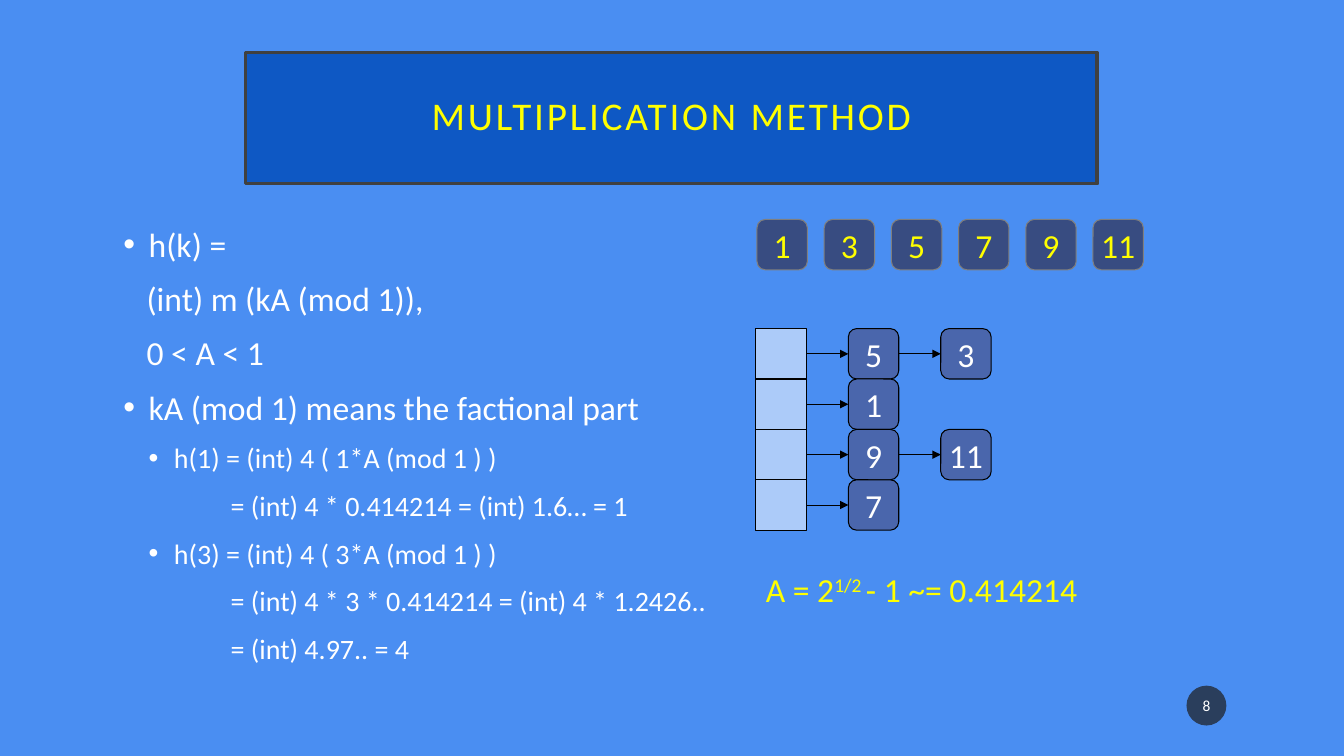
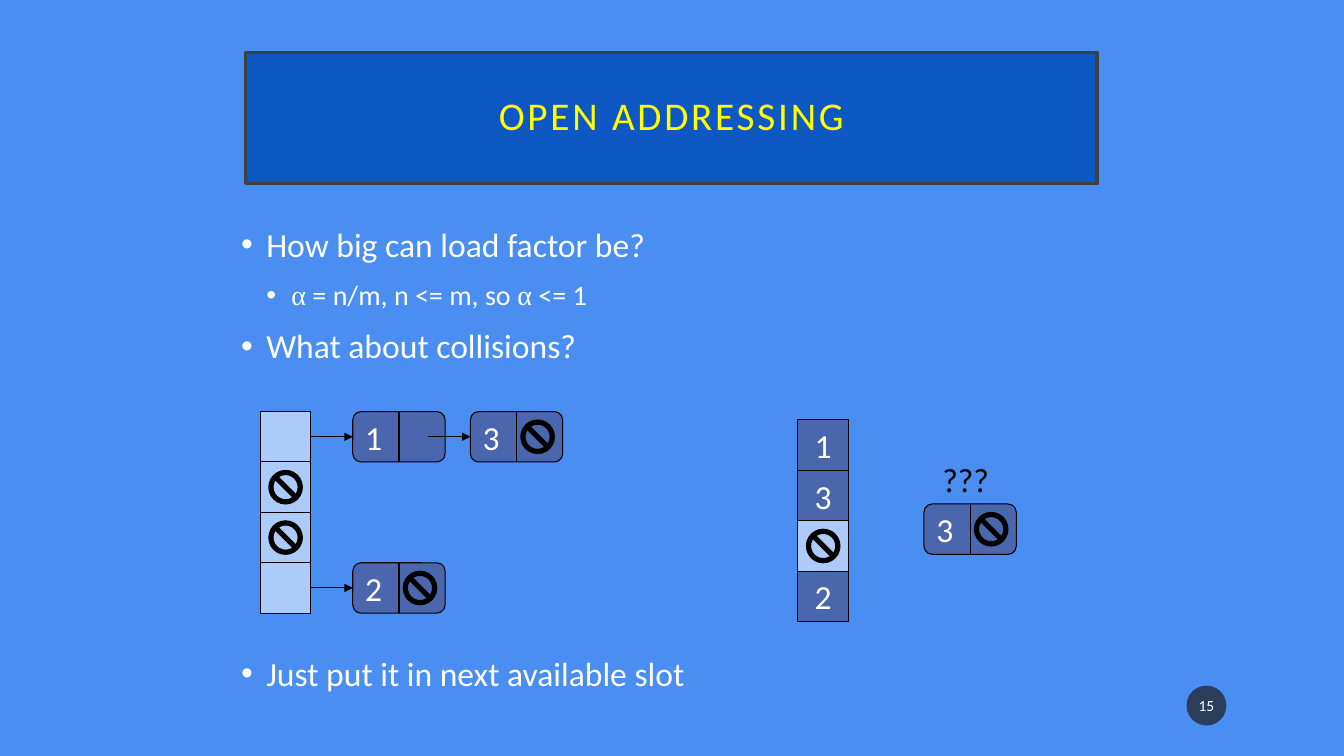
"""Builds two lecture slides on hashing: the multiplication method and open addressing."""
from dataclasses import dataclass
from itertools import groupby

from lxml import etree
from pptx import Presentation
from pptx import util as u
from pptx.dml.color import RGBColor
from pptx.enum import shapes, text
from pptx.oxml.ns import qn

PX = 9525
CELL = 48
GAP = 40
NODE = 88
SYMBOL = 32
INSET = (CELL - SYMBOL) // 2


@dataclass(frozen=True)
class LineStyle:
    level: int
    size: int
    margin: int
    indent: int


@dataclass(frozen=True)
class Theme:
    font: str = "Calibri"
    greek_font: str = "Times New Roman"
    background: str = "4A8EF2"
    title_fill: str = "0E58C4"
    title_line: str = "404040"
    accent: str = "FFFF00"
    white: str = "FFFFFF"
    black: str = "000000"
    slot: str = "ACCBF9"
    entry: str = "4A66AC"
    key: str = "384C81"
    key_line: str = "7F7F7F"
    badge: str = "1D1D1D"
    title_size: int = 28
    text_size: int = 24
    badge_size: int = 11
    hairline: float = 0.75
    item: LineStyle = LineStyle(0, 24, 24, -24)
    item_more: LineStyle = LineStyle(0, 24, 22, 0)
    detail: LineStyle = LineStyle(1, 20, 48, -24)
    detail_more: LineStyle = LineStyle(1, 20, 102, 0)


THEME = Theme()
RECT = shapes.MSO_SHAPE.RECTANGLE
ROUNDED = shapes.MSO_SHAPE.ROUNDED_RECTANGLE


def px(*lengths):
    return [u.Emu(length * PX) for length in lengths]


def rgb(color):
    return RGBColor.from_string(color)


def sub(parent, tag, **attributes):
    return etree.SubElement(parent, qn(tag), attributes)


class Deck:
    def __init__(self, theme):
        self.theme = theme
        self.prs = Presentation()
        self.prs.slide_width, self.prs.slide_height = px(1280, 720)
        self.paint(self.prs.slide_master.background, theme.background)
        self.slide = None

    def paint(self, target, color):
        target.fill.solid()
        target.fill.fore_color.rgb = rgb(color)

    def outline(self, target, color, width):
        target.line.color.rgb = rgb(color)
        target.line.width = u.Pt(width)

    def add_runs(self, paragraph, pieces, size, color):
        for piece in pieces:
            run = paragraph.add_run()
            run.text = piece
            run.font.name = self.theme.greek_font if piece == "α" else self.theme.font
            run.font.size = u.Pt(size)
            run.font.color.rgb = rgb(color)
        return paragraph.runs

    def place(self, placeholder, box):
        placeholder.left, placeholder.top, placeholder.width, placeholder.height = px(*box)
        frame = placeholder.text_frame
        frame.auto_size = text.MSO_AUTO_SIZE.NONE
        frame.word_wrap = True
        return frame

    def new_slide(self, title, number):
        self.slide = self.prs.slides.add_slide(self.prs.slide_layouts[1])
        self.title(title)
        self.badge(number)

    def title(self, wording):
        banner = self.slide.shapes.title
        frame = self.place(banner, (234, 50, 811, 125))
        self.paint(banner, self.theme.title_fill)
        self.outline(banner, self.theme.title_line, 2.5)
        frame.vertical_anchor = text.MSO_ANCHOR.MIDDLE
        frame.margin_left, frame.margin_top, frame.margin_right, frame.margin_bottom = px(19, 19, 19, 19)
        heading = frame.paragraphs[0]
        heading.alignment = text.PP_ALIGN.CENTER
        heading.line_spacing = 0.9
        for run in self.add_runs(heading, [wording], self.theme.title_size, self.theme.accent):
            run._r.get_or_add_rPr().set("spc", "200")

    def body(self, box, lines):
        frame = self.place(self.slide.placeholders[1], box)
        frame.vertical_anchor = text.MSO_ANCHOR.TOP
        for index, (style, wording, before) in enumerate(lines):
            paragraph = frame.paragraphs[0] if index == 0 else frame.add_paragraph()
            paragraph.level = style.level
            paragraph.alignment = text.PP_ALIGN.LEFT
            paragraph.space_before = u.Pt(before if index else 0)
            self.bullet(paragraph, style)
            pieces = ["".join(run) for _, run in groupby(wording, lambda letter: letter == "α")]
            self.add_runs(paragraph, pieces, style.size, self.theme.white)

    def bullet(self, paragraph, style):
        properties = paragraph._p.get_or_add_pPr()
        properties.set("marL", str(style.margin * PX))
        properties.set("indent", str(style.indent * PX))
        if style.indent:
            sub(sub(properties, "a:buClr"), "a:srgbClr", val=self.theme.white)
            sub(properties, "a:buFont", typeface="Arial")
            sub(properties, "a:buChar", char="•")
        else:
            sub(properties, "a:buNone")

    def shape(self, kind, box, fill, line=None):
        drawn = self.slide.shapes.add_shape(kind, *px(*box))
        drawn.shadow.inherit = False
        self.paint(drawn, fill)
        if line:
            self.outline(drawn, line, self.theme.hairline)
        else:
            drawn.line.fill.background()
        return drawn

    def badge(self, number):
        disc = self.shape(shapes.MSO_SHAPE.OVAL, (1130, 653, 38, 38), self.theme.badge)
        shade = disc._element.spPr.find(qn("a:solidFill")).find(qn("a:srgbClr"))
        sub(shade, "a:alpha", val="70000")
        frame = disc.text_frame
        frame.margin_left = frame.margin_right = px(2)[0]
        self.label(disc, number, self.theme.badge_size, self.theme.white)

    def label(self, holder, wording, size, color, align=text.PP_ALIGN.CENTER):
        frame = holder.text_frame
        frame.vertical_anchor = text.MSO_ANCHOR.MIDDLE
        frame.word_wrap = False
        frame.paragraphs[0].alignment = align
        self.add_runs(frame.paragraphs[0], [wording], size, color)

    def box(self, kind, x, y, wording, fill, line=THEME.black, color=THEME.white):
        square = self.shape(kind, (x, y, CELL, CELL), fill, line)
        if wording:
            self.label(square, wording, self.theme.text_size, color)
        return square

    def null(self, x, y):
        sign = self.shape(shapes.MSO_SHAPE.NO_SYMBOL, (x, y, SYMBOL, SYMBOL), self.theme.black, self.theme.black)
        sign.adjustments[0] = 0.125

    def column(self, x, y, entries):
        slots = []
        for row, entry in enumerate(entries):
            top = y + row * CELL
            slots.append(self.box(RECT, x, top, entry, self.theme.entry if entry else self.theme.slot))
            if entry is None:
                self.null(x + INSET, top + INSET)
        return slots

    def node(self, x, y, wording, last=True):
        pair = self.shape(ROUNDED, (x, y, NODE, CELL), self.theme.entry, self.theme.black)
        self.label(pair, wording, self.theme.text_size, self.theme.white, text.PP_ALIGN.LEFT)
        self.link(pair, pair, sites=(0, 2), arrow=False)
        if last:
            self.null(x + NODE // 2 + 4, y + INSET)
        return pair

    def link(self, begin, end, sites=(3, 1), arrow=True):
        start = begin if isinstance(begin, tuple) else (0, 0)
        line = self.slide.shapes.add_connector(shapes.MSO_CONNECTOR.STRAIGHT, *px(*start, *start))
        if not isinstance(begin, tuple):
            line.begin_connect(begin, sites[0])
        line.end_connect(end, sites[1])
        self.outline(line, self.theme.black, self.theme.hairline)
        properties = line._element.spPr
        if arrow:
            sub(properties.find(qn("a:ln")), "a:tailEnd", type="triangle")
        sub(properties, "a:effectLst")

    def note(self, box, pieces, color):
        frame = self.slide.shapes.add_textbox(*px(*box)).text_frame
        frame.word_wrap = False
        frame.auto_size = text.MSO_AUTO_SIZE.SHAPE_TO_FIT_TEXT
        return self.add_runs(frame.paragraphs[0], pieces, self.theme.text_size, color)


def multiplication_method(deck):
    theme = deck.theme
    deck.new_slide("MULTIPLICATION METHOD", "8")
    deck.body((108, 208, 596, 464), [
        (theme.item, "h(k) =", 10),
        (theme.item_more, "(int) m (kA (mod 1)),", 10),
        (theme.item_more, "0 < A < 1", 10),
        (theme.item, "kA (mod 1) means the factional part", 10),
        (theme.detail, "h(1) = (int) 4 ( 1*A (mod 1 ) )", 10),
        (theme.detail_more, "= (int) 4 * 0.414214 = (int) 1.6… = 1", 10),
        (theme.detail, "h(3) = (int) 4 ( 3*A (mod 1 ) )", 10),
        (theme.detail_more, "= (int) 4 * 3 * 0.414214 = (int) 4 * 1.2426..", 10),
        (theme.detail_more, "= (int) 4.97.. = 4", 10),
    ])
    for index, key in enumerate(("1", "3", "5", "7", "9", "11")):
        deck.box(ROUNDED, 721 + 64 * index, 209, key, theme.key, theme.key_line, theme.accent)

    left, top = 720, 313
    chains = (("5", "3"), ("1",), ("9", "11"), ("7",))
    slots = deck.column(left, top, [""] * len(chains))
    for row, (slot, chain) in enumerate(zip(slots, chains)):
        previous = slot
        for step, key in enumerate(chain, 1):
            entry = deck.box(ROUNDED, left + step * (CELL + GAP), top + row * CELL, key, theme.entry)
            deck.link(previous, entry)
            previous = entry

    formula = deck.note((720, 537, 323, 48), ["A = 2", "1/2 ", "- 1 ~= 0.414214"], theme.accent)
    formula[1]._r.get_or_add_rPr().set("baseline", "30000")


def open_addressing(deck):
    theme = deck.theme
    deck.new_slide("OPEN ADDRESSING", "15")
    deck.body((220, 208, 840, 480), [
        (theme.item, "How big can load factor be?", 10),
        (theme.detail, "α = n/m, n <= m, so α <= 1", 10),
        (theme.item, "What about collisions?", 10),
        (theme.item, "Just put it in next available slot", 205),
    ])
    left, top = 248, 392
    slots = deck.column(left, top, ["", None, None, ""])
    node_left = left + CELL + GAP
    first = deck.node(node_left, top, "1", last=False)
    second = deck.node(node_left + 112, top, "3")
    bottom = deck.node(node_left, top + 3 * CELL, "2")
    deck.link(slots[0], first)
    deck.link(slots[3], bottom)
    deck.link((node_left + 72, top + CELL // 2), second)

    deck.column(760, 400, ["1", "3", None, "2"])
    deck.node(880, 480, "3")
    deck.note((888, 432, 64, 49), ["???"], theme.black)


def main():
    deck = Deck(THEME)
    multiplication_method(deck)
    open_addressing(deck)
    deck.prs.save("out.pptx")


if __name__ == "__main__":
    main()
